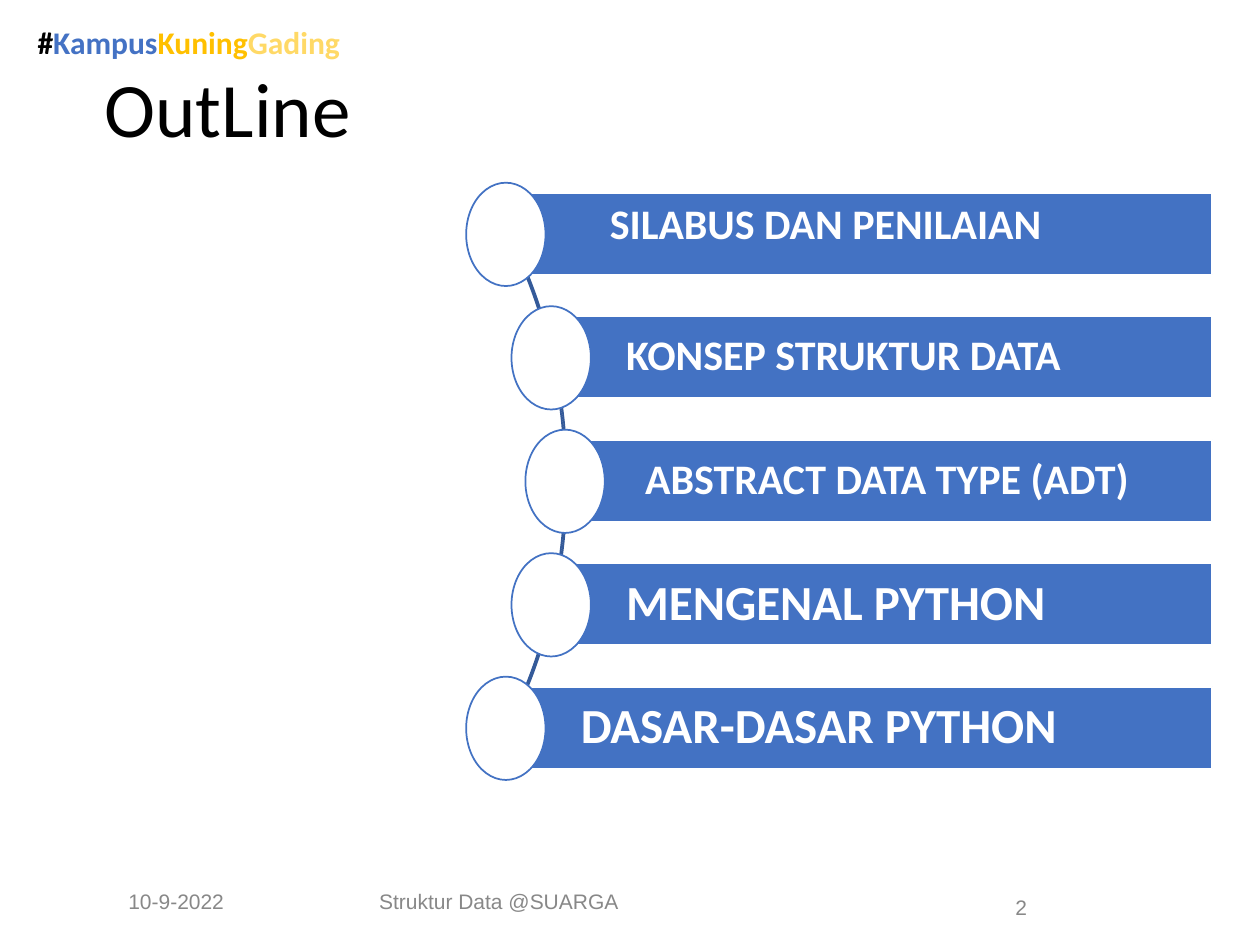
from pptx import Presentation
from pptx.dml.color import RGBColor
from pptx.enum.shapes import MSO_SHAPE
from pptx.enum.text import MSO_ANCHOR, MSO_AUTO_SIZE, PP_ALIGN
from pptx.util import Inches, Pt

BLACK = RGBColor(0x00, 0x00, 0x00)
WHITE = RGBColor(0xFF, 0xFF, 0xFF)
GREY = RGBColor(0x88, 0x88, 0x88)
BAR_BLUE = RGBColor(0x43, 0x72, 0xC3)
ARC_BLUE = RGBColor(0x34, 0x5A, 0x99)
TAG_BLUE = RGBColor(0x44, 0x72, 0xC4)
GOLD = RGBColor(0xFF, 0xC0, 0x00)
PALE_GOLD = RGBColor(0xFF, 0xD9, 0x66)

COLUMNS, ROWS = 100, 75  # grid cells across and down the slide


class SlideBuilder:
    def __init__(self, deck):
        deck.slide_width, deck.slide_height = Inches(10), Inches(7.5)
        self.column = deck.slide_width / COLUMNS
        self.row = deck.slide_height / ROWS
        self.page = deck.slides.add_slide(deck.slide_layouts[5])

    def frame(self, left, top, width, height):
        return (round(left * self.column), round(top * self.row),
                round(width * self.column), round(height * self.row))

    def style(self, para, size, color, font="Calibri", bold=False, align=PP_ALIGN.LEFT):
        para.alignment = align
        para.font.name, para.font.size = font, Pt(size)
        para.font.bold, para.font.color.rgb = bold, color

    def title(self, text, area):
        title = self.page.shapes.title
        title.left, title.top, title.width, title.height = self.frame(*area)
        title.text_frame.auto_size = MSO_AUTO_SIZE.NONE
        title.text_frame.vertical_anchor = MSO_ANCHOR.MIDDLE
        para = title.text_frame.paragraphs[0]
        para.text, para.line_spacing = text, 0.9
        self.style(para, 44, BLACK)

    def text(self, text, area, size, color, wrap=True, **style):
        box = self.page.shapes.add_textbox(*self.frame(*area))
        box.text_frame.word_wrap = wrap
        box.text_frame.vertical_anchor = MSO_ANCHOR.MIDDLE
        para = box.text_frame.paragraphs[0]
        para.text = text
        self.style(para, size, color, **style)
        return box.text_frame

    def label(self, text, area, size):
        frame = self.text(text, area, size, WHITE, bold=True)
        frame.margin_left = Inches(0.59)
        frame.margin_top = frame.margin_right = frame.margin_bottom = Inches(0.08)
        frame.paragraphs[0].line_spacing = 0.9

    def hashtag(self, parts, area):
        frame = self.text("", area, 18, BLACK, wrap=False, bold=True)
        frame.vertical_anchor = MSO_ANCHOR.TOP
        frame.margin_right = 0
        for word, color in parts:
            span = frame.paragraphs[0].add_run()
            span.text = word
            span.font.color.rgb = color

    def shape(self, kind, area, fill, line):
        shape = self.page.shapes.add_shape(kind, *self.frame(*area))
        shape.shadow.inherit = False
        if fill is None:
            shape.fill.background()
        else:
            shape.fill.solid()
            shape.fill.fore_color.rgb = fill
        shape.line.color.rgb, shape.line.width = line, Pt(1)
        return shape


def main():
    deck = Presentation()
    slide = SlideBuilder(deck)

    # Heading
    slide.hashtag([("#", BLACK), ("Kampus", TAG_BLUE), ("Kuning", GOLD),
                   ("Gading", PALE_GOLD)], (2, 1.3, 26, 3.4))
    slide.title("OutLine", (7.3, 5.3, 86, 7.2))

    # Arc behind the topics
    arc = slide.shape(MSO_SHAPE.BLOCK_ARC, (-9.2, 3, 54.2, 70.3), None, ARC_BLUE)
    for index, value in enumerate((189, 27, 0.003)):
        arc.adjustments[index] = value

    # Topics: bar start, text, size, label shift across and down
    topics = [
        (40.2, "SILABUS DAN PENILAIAN", 24, 2.3, -0.65),
        (43.8, "KONSEP STRUKTUR DATA", 24, 0, 0),
        (44.9, "ABSTRACT DATA TYPE (ADT)", 24, 0.4, 0),
        (43.8, "MENGENAL PYTHON", 28, 0, 0),
        (40.2, "DASAR-DASAR PYTHON", 28, 0, 0),
    ]
    first_top, pitch, bar_height, right_edge = 15.3, 9.8, 6.5, 96.2
    for index, (left, text, size, across, down) in enumerate(topics):
        top = first_top + index * pitch
        width = right_edge - left
        slide.shape(MSO_SHAPE.RECTANGLE, (left, top, width, bar_height), BAR_BLUE, WHITE)
        slide.label(text, (left + across, top + down, width - across, bar_height), size)
        slide.shape(MSO_SHAPE.OVAL, (left - 3.2, top - 0.8, 6.3, 8.2), WHITE, BAR_BLUE)

    # Footer
    for text, area, align in [
        ("10-9-2022", (9.2, 69.5, 15.8, 4), PP_ALIGN.LEFT),
        ("Struktur Data @SUARGA", (26.7, 69.5, 25.8, 4), PP_ALIGN.CENTER),
        ("2", (57.5, 70, 25, 4), PP_ALIGN.RIGHT),
    ]:
        slide.text(text, area, 12, GREY, font="Arial", align=align)

    deck.save("out.pptx")


if __name__ == "__main__":
    main()
